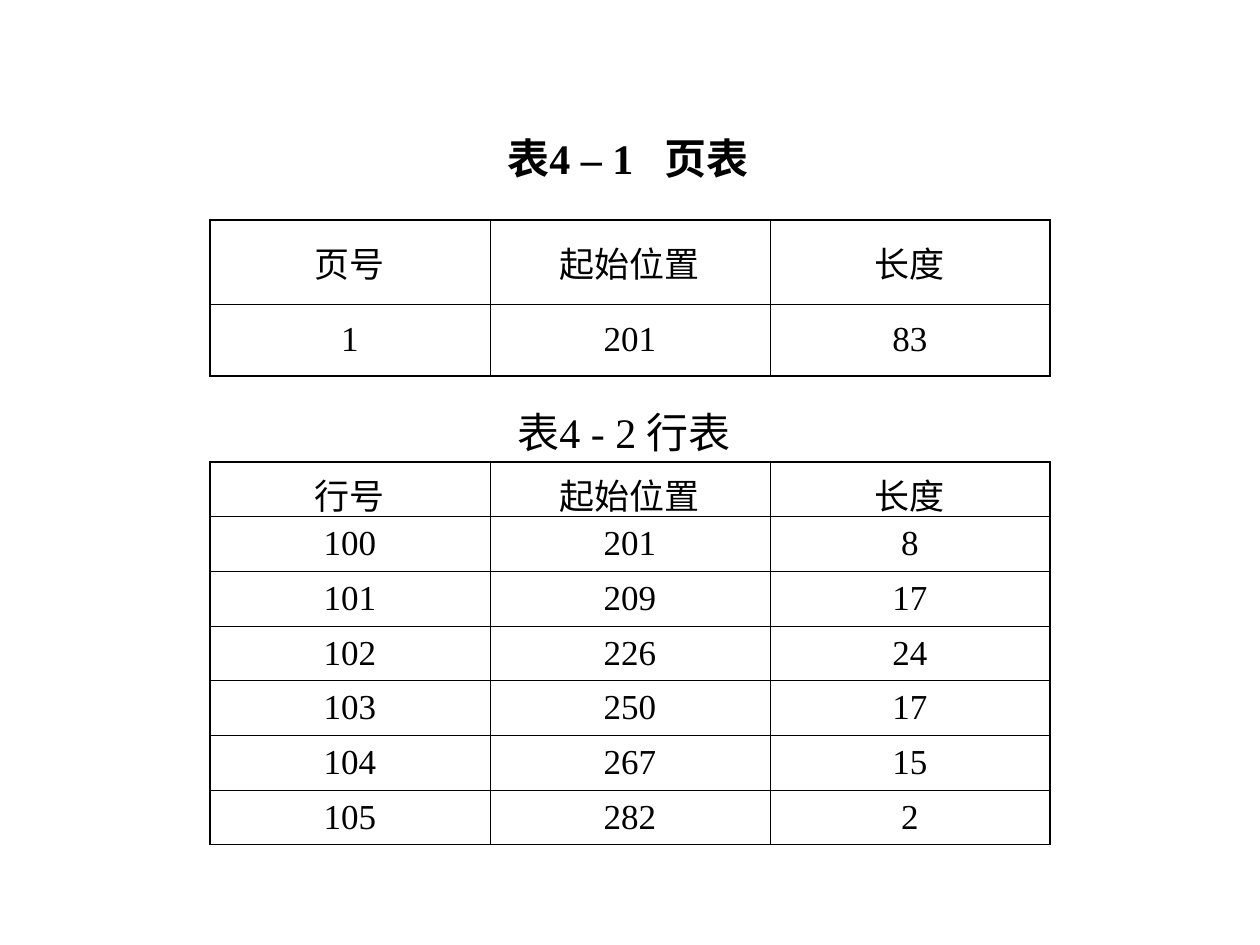
from lxml.etree import SubElement
from pptx import Presentation
from pptx.dml.color import RGBColor
from pptx.enum.text import MSO_ANCHOR, PP_ALIGN
from pptx.oxml.ns import qn
from pptx.util import Pt

SCALE = 914400 / 126
BLACK = RGBColor(0, 0, 0)
FONT = "Times New Roman"
THIN, THICK = 0.45, 1.08

PAGES = [("页号", "起始位置", "长度"), ("1", "201", "83")]
LINES = [
    ("行号", "起始位置", "长度"),
    ("100", "201", "8"),
    ("101", "209", "17"),
    ("102", "226", "24"),
    ("103", "250", "17"),
    ("104", "267", "15"),
    ("105", "282", "2"),
]


def px(n):
    return round(n * SCALE)


def style(para, size, bold=False):
    font = para.font
    font.name, font.size, font.bold = FONT, Pt(size), bold
    font.color.rgb = BLACK


def add_caption(slide, box, text, bold=False):
    frame = slide.shapes.add_textbox(*map(px, box)).text_frame
    frame.word_wrap = True
    frame.text = text
    style(frame.paragraphs[0], 24, bold)


def set_edge(cell, side, width):
    props = cell._tc.get_or_add_tcPr()
    line = SubElement(props, qn(f"a:ln{side}"), w=str(Pt(width)))
    fill = SubElement(line, qn("a:solidFill"))
    SubElement(fill, qn("a:srgbClr"), val=str(BLACK))


def add_grid(slide, box, rows, heights):
    count, wide = len(rows), len(rows[0])
    table = slide.shapes.add_table(count, wide, *map(px, box)).table
    table.first_row = table.horz_banding = False
    for row, high in zip(table.rows, heights):
        row.height = px(high)
    for r, row in enumerate(rows):
        for c, text in enumerate(row):
            cell = table.cell(r, c)
            cell.text = text
            cell.vertical_anchor = MSO_ANCHOR.MIDDLE
            para = cell.text_frame.paragraphs[0]
            para.alignment = PP_ALIGN.CENTER
            para.space_before = Pt(5)
            style(para, 20)
            # Thick frame outside, thin rules inside; edges precede the fill
            outer = {"L": c == 0, "R": c == wide - 1,
                     "T": r == 0, "B": r == count - 1}
            for side, edge in outer.items():
                set_edge(cell, side, THICK if edge else THIN)
            cell.fill.background()


def main():
    deck = Presentation()
    deck.slide_width, deck.slide_height = px(1260), px(945)
    slide = deck.slides.add_slide(deck.slide_layouts[6])

    # Page table
    add_caption(slide, (495, 126, 296, 63), "表4 – 1   页表", bold=True)
    add_grid(slide, (210, 220, 840, 156), PAGES, [84, 72])

    # Line table
    add_caption(slide, (505, 400, 269, 63), "表4 - 2 行表")
    high = 382
    add_grid(slide, (210, 462, 840, high), LINES,
             [high / len(LINES)] * len(LINES))

    deck.save("out.pptx")


if __name__ == "__main__":
    main()
